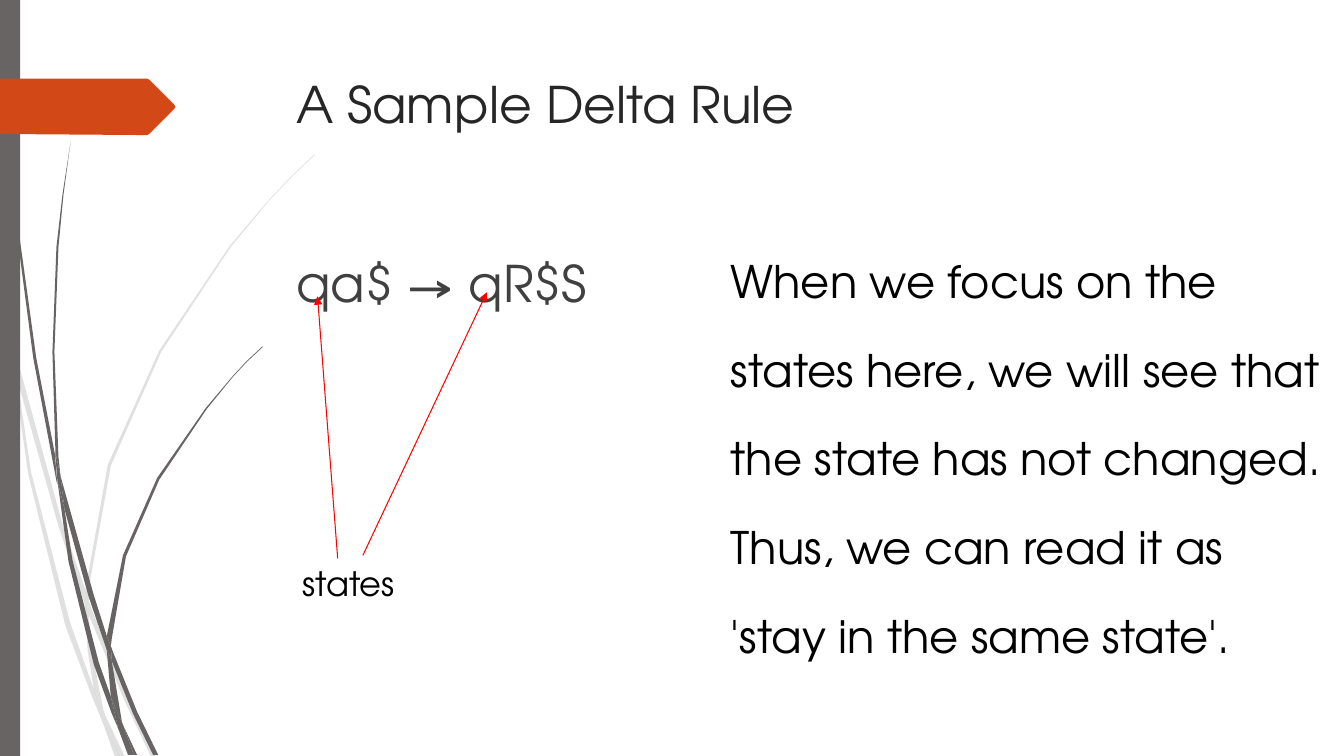
"""Builds the 'A Sample Delta Rule' slide with its grass-blade side decoration."""
import pptx
import pptx.dml.color
import pptx.enum.shapes
import pptx.enum.text
import pptx.oxml
import pptx.oxml.ns
import pptx.util

Pt = pptx.util.Pt
RGB = pptx.dml.color.RGBColor.from_string
COLORS = {"grey": "696464", "orange": "D34817", "title": "262626",
          "body": "404040", "black": "000000", "red": "FF0000"}
FONT = "TeX Gyre Adventor"
HUNDREDTH_INCH = Pt(0.72)

PALE_BLADES = [
    [(11, 350), (9, 322), (0, 282), (0, 299), (10, 344)],
    [(58, 522), (84, 599), (85, 586), (62, 520), (14, 345), (17, 376)],
    [(92, 607), (88, 596), (88, 610), (123, 694), (150, 751), (155, 751),
     (127, 692)],
    [(119, 751), (124, 751), (105, 711)],
    [(93, 683), (70, 619), (31, 469), (17, 376), (11, 350), (28, 470),
     (65, 621), (92, 693), (101, 714), (99, 707)],
    [(84, 599), (87, 646), (93, 683), (96, 692), (105, 711), (103, 706),
     (91, 646), (88, 610), (88, 608)],
    [(88, 584), (110, 462), (160, 349), (229, 245), (268, 198), (290, 175),
     (312, 154), (312, 153), (289, 175), (268, 197), (228, 244), (158, 348),
     (107, 461), (85, 584), (85, 586), (88, 596)],
    [(101, 714), (114, 751), (119, 751)],
    [(88, 608), (88, 610), (88, 596), (85, 586), (84, 599)],
    [(96, 692), (93, 683), (99, 707), (101, 714), (119, 751), (105, 711)],
]
DARK_BLADES = [
    [(7, 110), (17, 233), (33, 355), (56, 477), (57, 481), (55, 457),
     (55, 453), (36, 355), (19, 232), (8, 109), (5, 48), (4, 0), (3, 0),
     (4, 48)],
    [(88, 592), (106, 645), (106, 633), (106, 631), (93, 590), (60, 472),
     (64, 505)],
    [(113, 649), (110, 641), (111, 656), (132, 708), (152, 749), (157, 749),
     (136, 706)],
    [(110, 691), (98, 657), (72, 556), (64, 505), (57, 477), (68, 557),
     (93, 659), (111, 708), (117, 722), (116, 717)],
    [(60, 472), (58, 453), (54, 349), (58, 245), (63, 193), (70, 141),
     (62, 193), (56, 245), (52, 349), (55, 449)],
    [(133, 749), (136, 749), (122, 719)],
    [(57, 477), (64, 505), (60, 472), (55, 449), (55, 453)],
    [(111, 633), (125, 552), (158, 476), (205, 406), (231, 374), (245, 359),
     (261, 344), (260, 344), (245, 358), (231, 373), (204, 405), (156, 474),
     (122, 551), (106, 631), (110, 641)],
    [(117, 722), (127, 749), (131, 749)],
    [(106, 645), (110, 691), (116, 706), (122, 719), (121, 716), (111, 656),
     (109, 651)],
    [(106, 645), (109, 651), (111, 656), (110, 641), (106, 631), (106, 633)],
    [(116, 706), (110, 691), (116, 717), (117, 722), (130, 749), (133, 749),
     (122, 719)],
]
TITLE_ARROW = [(173, 108), (148, 133), (146, 134), (136, 134), (0, 133),
               (0, 78), (146, 78), (148, 79), (173, 104), (174, 106)]


def add_outline(shapes, points, color):
    builder = shapes.build_freeform(*points[0], scale=HUNDREDTH_INCH)
    builder.add_line_segments(points[1:], close=True)
    sp = builder.convert_to_shape()
    sp.shadow.inherit = False
    sp.fill.solid()
    sp.fill.fore_color.rgb = RGB(COLORS[color])
    sp.line.fill.background()
    return sp


def add_text(s, text, box, size, color, spacing=None, wrap=True):
    sp = s.shapes.add_textbox(*[Pt(v) for v in box])
    tf = sp.text_frame
    tf.word_wrap = wrap
    p = tf.paragraphs[0]
    p.text = text
    p.line_spacing = spacing
    p.font.size = Pt(size)
    p.font.name = FONT
    p.font.color.rgb = RGB(COLORS[color])
    return tf


prs = pptx.Presentation()
prs.slide_width, prs.slide_height = Pt(960), Pt(540)
s = prs.slides.add_slide(prs.slide_layouts[6])

for blades, opacity in ((PALE_BLADES, 20), (DARK_BLADES, 100)):
    group = s.shapes.add_group_shape()
    for blade in blades:
        sp = add_outline(group.shapes, blade, "grey")
        if opacity < 100:
            srgb = sp.fill._xPr.find(".//" + pptx.oxml.ns.qn("a:srgbClr"))
            srgb.append(pptx.oxml.parse_xml(
                f'<a:alpha {pptx.oxml.ns.nsdecls("a")} val="{opacity * 1000}"/>'))

bar = s.shapes.add_shape(pptx.enum.shapes.MSO_SHAPE.RECTANGLE,
                         Pt(0), Pt(0), Pt(14.4), Pt(540))
bar.shadow.inherit = False
bar.fill.solid()
bar.fill.fore_color.rgb = RGB(COLORS["grey"])
bar.line.fill.background()
add_outline(s.shapes, TITLE_ARROW, "orange")

add_text(s, "A Sample Delta Rule", (204.5, 49, 702, 100.8), 36, "title")
add_text(s, "qa$ → qR$S", (204.5, 148.3, 651.6, 250.6), 36, "body", 1.65)

for ends in ((241.2, 398.9, 226.8, 211.7), (259.2, 396.7, 347.8, 208.8)):
    line = s.shapes.add_connector(pptx.enum.shapes.MSO_CONNECTOR.STRAIGHT,
                                  *[Pt(v) for v in ends])
    line.line.color.rgb = RGB(COLORS["red"])
    line.line.width = Pt(0.75)
    line.line._get_or_add_ln().append(pptx.oxml.parse_xml(
        f'<a:tailEnd {pptx.oxml.ns.nsdecls("a")} type="triangle"/>'))
    line._element.spPr.append(pptx.oxml.parse_xml(
        f'<a:effectLst {pptx.oxml.ns.nsdecls("a")}/>'))

tf = add_text(s, "states", (208.8, 398.9, 82.1, 36), 24, "black", wrap=False)
tf.auto_size = pptx.enum.text.MSO_AUTO_SIZE.SHAPE_TO_FIT_TEXT
tf = add_text(s, "When we focus on the states here, we will see that the state "
              "has not changed. Thus, we can read it as 'stay in the same state'.",
              (514.8, 152.6, 442.8, 318.2), 32, "black", 1.65)
tf.auto_size = pptx.enum.text.MSO_AUTO_SIZE.SHAPE_TO_FIT_TEXT

prs.save("out.pptx")
